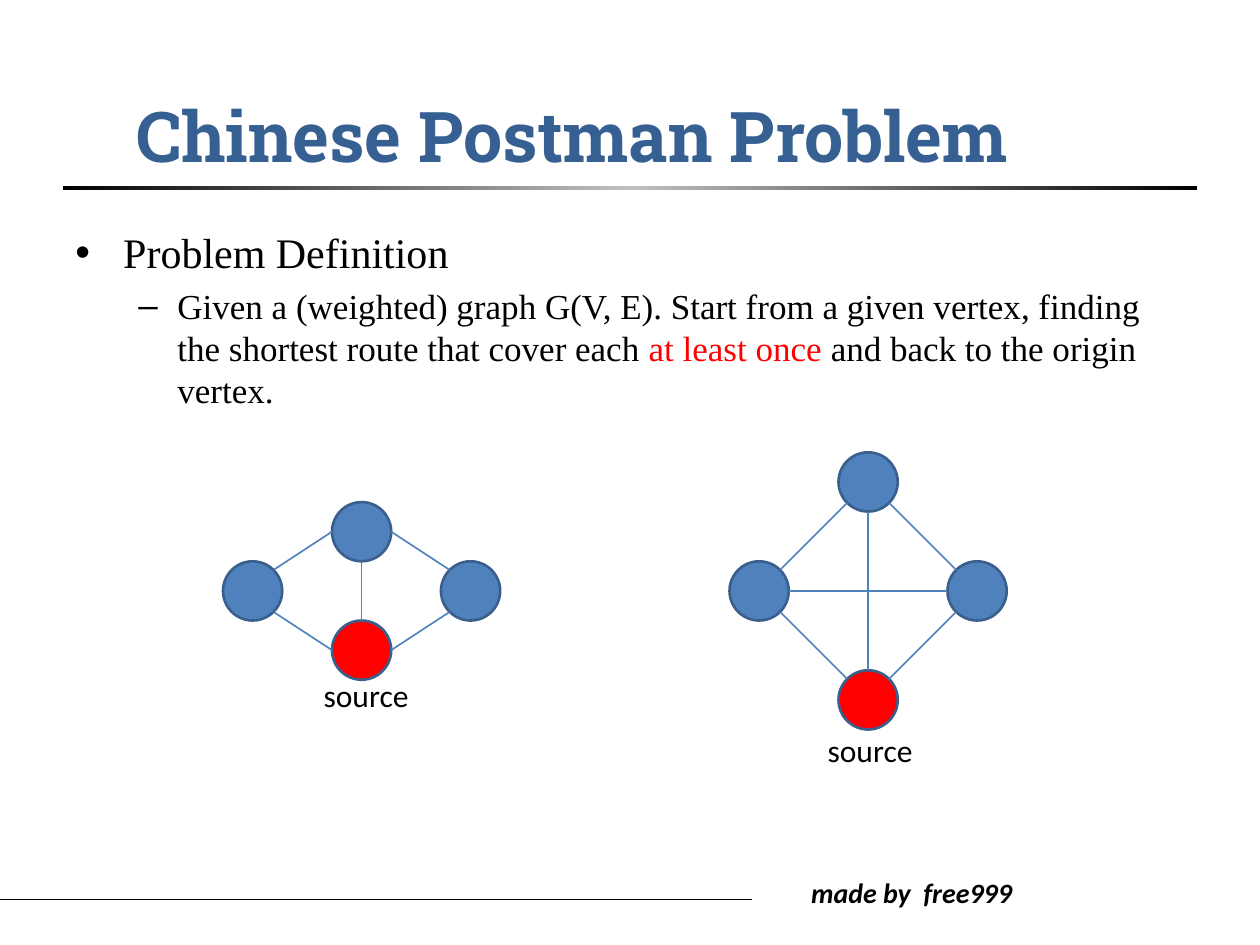
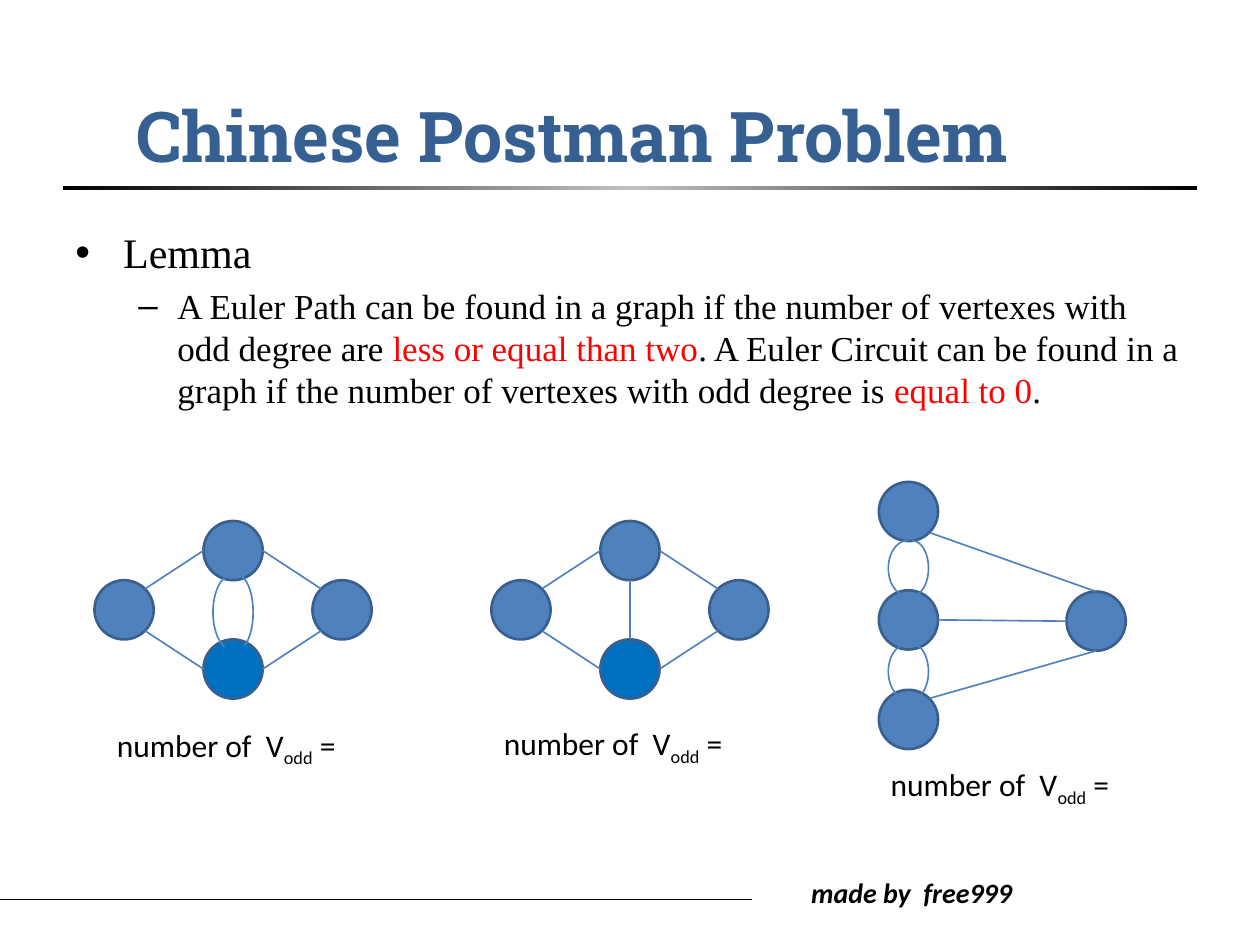
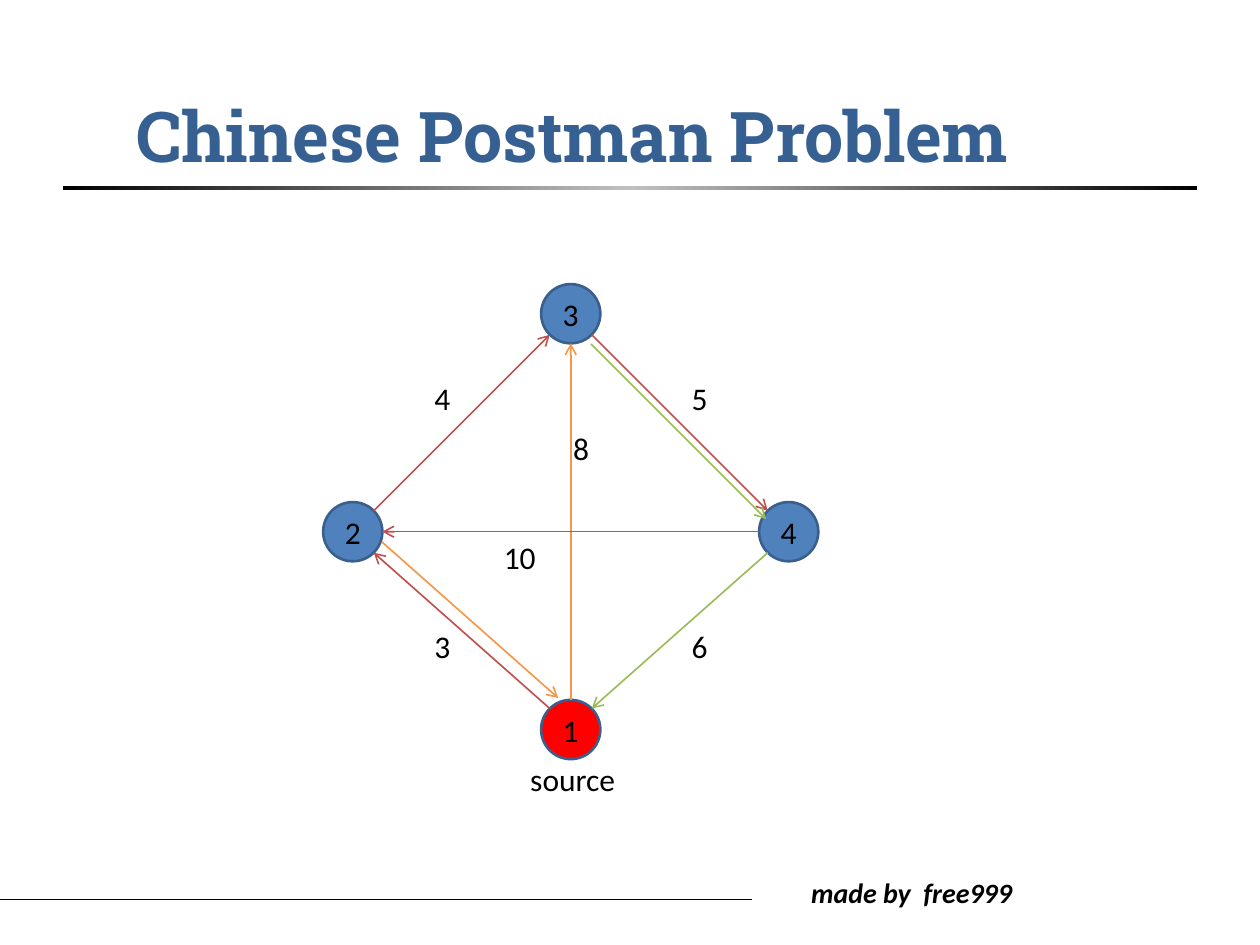
from copy import deepcopy

from pptx import Presentation
from pptx.dml.color import RGBColor
from pptx.enum.shapes import MSO_CONNECTOR, MSO_SHAPE
from pptx.enum.text import MSO_ANCHOR, PP_ALIGN
from pptx.oxml.ns import qn
from pptx.util import Inches, Pt
from lxml import etree

LINE = MSO_CONNECTOR.STRAIGHT
OVAL, ARC, RECT = MSO_SHAPE.OVAL, MSO_SHAPE.ARC, MSO_SHAPE.RECTANGLE
MIDDLE, CENTER = MSO_ANCHOR.MIDDLE, PP_ALIGN.CENTER

BLACK = RGBColor(0x00, 0x00, 0x00)
SILVER = RGBColor(0xC0, 0xC0, 0xC0)
NAVY = RGBColor(0x37, 0x60, 0x92)
BLUE = RGBColor(0x4F, 0x81, 0xBD)
RIM = RGBColor(0x3A, 0x5F, 0x8C)
AZURE = RGBColor(0x00, 0x70, 0xC0)
RED = RGBColor(0xFF, 0x00, 0x00)
BRICK = RGBColor(0xC0, 0x50, 0x4D)
GREEN = RGBColor(0x9B, 0xBB, 0x59)
ORANGE = RGBColor(0xF7, 0x96, 0x46)

SANS, SERIF, SLAB = "Calibri", "Times New Roman", "Roboto Slab"
SIZE = 0.47
THIN = 0.94
DIAG = 0.71
SIDES = {
    "n": (0, -1), "s": (0, 1), "w": (-1, 0), "e": (1, 0),
    "nw": (-DIAG, -DIAG), "ne": (DIAG, -DIAG),
    "sw": (-DIAG, DIAG), "se": (DIAG, DIAG),
}
KITE = ["left ne top w", "left se low w", "top e right nw", "low e right sw"]
DIAMOND = ["left ne top sw", "left se low nw", "top se right nw",
           "low ne right sw", "top s low n", "left e right w"]


def add_run(para, text, size, font=SANS, color=BLACK, bold=None, slant=None):
    """Add one styled run to a paragraph and return it."""
    run = para.add_run()
    run.text = text
    run.font.size = Pt(size)
    run.font.name = font
    run.font.color.rgb = color
    run.font.bold = bold
    run.font.italic = slant
    return run


def add_box(slide, x, y, w, h):
    """Add a wrapping text box and return its text frame."""
    box = slide.shapes.add_textbox(Inches(x), Inches(y), Inches(w), Inches(h))
    box.text_frame.word_wrap = True
    return box.text_frame


def add_label(slide, text, x, y, w=SIZE):
    """Add a short label in black."""
    add_run(add_box(slide, x, y, w, 0.4).paragraphs[0], text, 18)


def add_count(slide, x, y):
    """Add the label that counts the odd vertexes."""
    para = add_box(slide, x, y, 2.2, 0.4).paragraphs[0]
    add_run(para, "number of  V", 18)
    sub = add_run(para, "odd", 18)
    sub.font._element.set("baseline", "-25000")
    add_run(para, " =", 18)


def add_line(slide, start, end, color=BLUE, width=THIN, arrow=False):
    """Draw a straight line, with an open arrowhead at its end if asked."""
    ends = [Inches(v) for v in (*start, *end)]
    line = slide.shapes.add_connector(LINE, *ends)
    line.line.color.rgb = color
    line.line.width = Pt(width)
    if arrow:
        tail = etree.SubElement(line.line._get_or_add_ln(), qn("a:tailEnd"))
        tail.set("type", "arrow")
    etree.SubElement(line.element.spPr, qn("a:effectLst"))


def add_node(slide, spot, fill=BLUE, text=""):
    """Draw a vertex centred on a spot."""
    x, y = spot
    node = slide.shapes.add_shape(OVAL, Inches(x - SIZE / 2),
                                  Inches(y - SIZE / 2), Inches(SIZE), Inches(SIZE))
    node.shadow.inherit = False
    node.fill.solid()
    node.fill.fore_color.rgb = fill
    node.line.color.rgb = RIM
    node.line.width = Pt(1.5)
    if text:
        frame = node.text_frame
        frame.word_wrap = False
        frame.vertical_anchor = MIDDLE
        frame.paragraphs[0].alignment = CENTER
        add_run(frame.paragraphs[0], text, 18)


def port(spot, side):
    """Return the point on the rim of a vertex at a compass side."""
    return tuple(c + SIZE / 2 * d for c, d in zip(spot, SIDES[side]))


def add_edge(slide, spots, edge, color=BLUE, arrow=False):
    """Join two vertexes, named with the side where the line meets each."""
    head, out, goal, side = edge.split()
    add_line(slide, port(spots[head], out), port(spots[goal], side),
             color, arrow=arrow)


def add_ring(slide, x, y, wide, up, down, fill, names=("", "", "", "")):
    """Draw four vertexes around a centre and return their spots."""
    spots = {"left": (x - wide, y), "top": (x, y - up),
             "right": (x + wide, y), "low": (x, y + down)}
    for (key, spot), name in zip(spots.items(), names):
        add_node(slide, spot, fill if key == "low" else BLUE, name)
    return spots


def add_graph(slide, x, y, rise, fill, edges):
    """Draw a ring of four vertexes with plain edges."""
    spots = add_ring(slide, x, y, 0.865, rise, rise, fill)
    for edge in edges:
        add_edge(slide, spots, edge)


def add_loop(slide, x, y, h):
    """Draw a pair of mirrored arcs as a closed double edge."""
    for left, w, flip in ((x, 0.26, False), (x - 0.06, 0.31, True)):
        arc = slide.shapes.add_shape(ARC, Inches(left), Inches(y),
                                     Inches(w), Inches(h))
        arc.shadow.inherit = False
        arc.fill.background()
        arc.line.color.rgb = BLUE
        arc.line.width = Pt(THIN)
        for i, angle in enumerate((270, 77)):
            arc.adjustments[i] = angle * 0.6
        if flip:
            arc.element.spPr.find(qn("a:xfrm")).set("flipH", "1")


def add_rule(slide):
    """Draw the shaded rule below the title."""
    bar = slide.shapes.add_shape(RECT, Inches(0.5), Inches(1.48),
                                 Inches(9), Inches(0.03))
    bar.shadow.inherit = False
    bar.line.fill.background()
    bar.fill.gradient()
    bar.fill.gradient_angle = 0
    stops = bar.element.spPr.find(".//" + qn("a:gsLst"))
    stops.insert(1, deepcopy(stops[0]))
    shades = ((0, BLACK), (0.5, SILVER), (1, BLACK))
    for stop, (place, color) in zip(bar.fill.gradient_stops, shades):
        stop.position = place
        stop.color.rgb = color


def add_page(deck):
    """Add a slide with the shared footer, rule and title."""
    slide = deck.slides.add_slide(deck.slide_layouts[6])
    add_line(slide, (-0.28, 7.14), (5.97, 7.14), BLACK, 0.5)
    foot = add_box(slide, 6.34, 6.9, 2.77, 0.37).paragraphs[0]
    add_run(foot, "made by  free999", 16, bold=True, slant=True)
    add_rule(slide)
    frame = add_box(slide, 0.04, 0.44, 9, 1.25)
    frame.vertical_anchor = MIDDLE
    frame.paragraphs[0].alignment = CENTER
    add_run(frame.paragraphs[0], "Chinese Postman Problem", 40, SLAB, NAVY, True)
    return slide


def set_bullet(para, mark, left, hang, gap):
    """Give a paragraph a bullet, a hanging indent and space before it."""
    para.space_before = Pt(gap)
    props = para._p.get_or_add_pPr()
    props.set("marL", str(Inches(left)))
    props.set("indent", str(-Inches(hang)))
    etree.SubElement(props, qn("a:buFont")).set("typeface", "Arial")
    etree.SubElement(props, qn("a:buChar")).set("char", mark)


def add_body(slide, head, parts, h):
    """Add a heading bullet and a sub-bullet built from coloured parts."""
    frame = add_box(slide, 0.5, 1.75, 9, h)
    para = frame.paragraphs[0]
    set_bullet(para, "•", 0.38, 0.38, 4.8)
    add_run(para, head, 24, SERIF)
    para = frame.add_paragraph()
    para.level = 1
    set_bullet(para, "–", 0.81, 0.31, 4)
    for text, color in parts:
        add_run(para, text, 20, SERIF, color)


def add_goal(deck):
    """Build the slide that defines the problem."""
    slide = add_page(deck)
    add_body(slide, "Problem Definition", [
        ("Given a (weighted) graph G(V, E). Start from a given vertex, "
         "finding the shortest route that cover each ", BLACK),
        ("at least once ", RED),
        ("and back to the origin vertex.", BLACK)], 4.95)
    add_graph(slide, 2.87, 4.69, 0.47, RED, KITE + ["top s low n"])
    add_label(slide, "source", 2.47, 5.32, 1.5)
    add_graph(slide, 6.89, 4.69, 0.865, RED, DIAMOND)
    add_label(slide, "source", 6.47, 5.75, 1.5)


def add_lemma(deck):
    """Build the slide on odd vertexes."""
    slide = add_page(deck)
    add_body(slide, "Lemma", [
        ("A Euler Path can be found in a graph if the number of vertexes "
         "with odd degree are ", BLACK),
        ("less or equal than two", RED),
        (". A Euler Circuit can be found in a graph if the number of "
         "vertexes with odd degree is ", BLACK),
        ("equal to 0", RED),
        (".", BLACK)], 1.84)
    add_graph(slide, 5, 4.84, 0.47, AZURE, KITE + ["top s low n"])
    add_count(slide, 3.9, 5.7)

    spots = {"mid": (7.21, 4.92), "top": (7.21, 4.06),
             "low": (7.21, 5.71), "far": (8.7, 4.93)}
    for spot in spots.values():
        add_node(slide, spot)
    for edge in ("mid e far w", "top se far n", "low ne far s"):
        add_edge(slide, spots, edge)
    for y in (4.29, 5.11):
        add_loop(slide, 7.11, y, 0.44)
    add_count(slide, 6.97, 6.02)

    add_graph(slide, 1.85, 4.84, 0.47, AZURE, KITE)
    add_loop(slide, 1.75, 4.56, 0.6)
    add_count(slide, 0.83, 5.71)


def add_route(deck):
    """Build the slide with the weighted routes."""
    slide = add_page(deck)
    spots = add_ring(slide, 4.53, 4.22, 1.73, 1.73, 1.57, RED,
                     ("2", "3", "4", "1"))
    for edge, color in (("left ne top sw", BRICK), ("low nw left se", BRICK),
                        ("top se right nw", BRICK), ("right sw low ne", GREEN),
                        ("low n top s", ORANGE), ("right w left e", BRICK)):
        add_edge(slide, spots, edge, color, True)
    add_label(slide, "source", 4.11, 5.98, 1.5)
    for text, x, y in (("3", 3.35, 4.93), ("4", 3.35, 2.96), ("5", 5.39, 2.96),
                       ("6", 5.39, 4.93), ("8", 4.45, 3.36)):
        add_label(slide, text, x, y)
    add_label(slide, "10", 3.9, 4.22, 0.63)
    add_line(slide, (3.03, 4.3), (4.43, 5.54), ORANGE, arrow=True)
    add_line(slide, (4.69, 2.73), (6.08, 4.12), GREEN, arrow=True)


def main():
    """Build the deck and save it."""
    deck = Presentation()
    deck.slide_width, deck.slide_height = Inches(10), Inches(7.5)
    add_goal(deck)
    add_lemma(deck)
    add_route(deck)
    deck.save("out.pptx")


if __name__ == "__main__":
    main()
